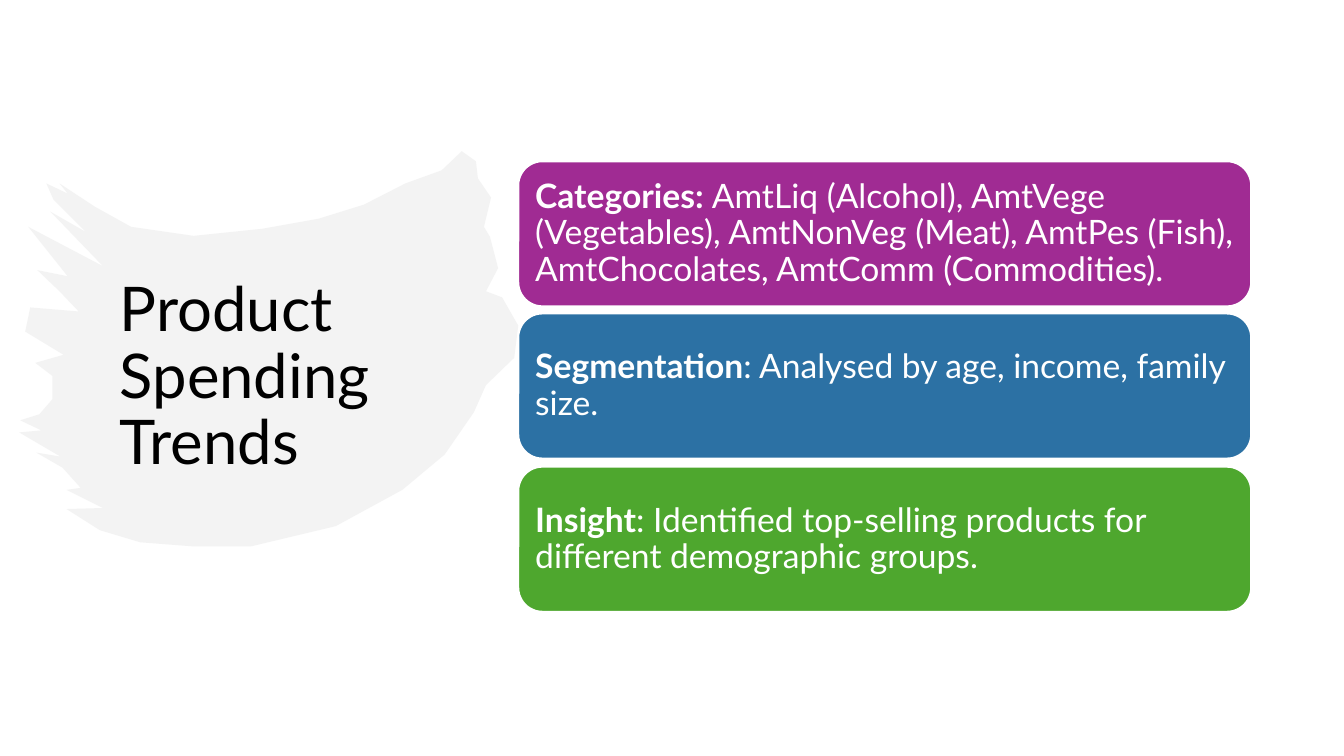
import dataclasses
import typing

import lxml.etree
import pptx
import pptx.dml.color
import pptx.enum.shapes
import pptx.enum.text
import pptx.oxml.ns
import pptx.shapes.autoshape
import pptx.shapes.shapetree
import pptx.text.text
import pptx.util

SCALE = 9144


@dataclasses.dataclass(frozen=True)
class Theme:
    font: str = "Lato"
    ink: str = "000000"
    paper: str = "FFFFFF"
    brush: str = "E8E8E8"
    purple: str = "A02B93"
    blue: str = "2C71A4"
    green: str = "4EA72E"
    title: int = 44
    body: int = 24
    edge: float = 1.5


@dataclasses.dataclass(frozen=True)
class Card:
    head: str
    text: str
    fill: str


THEME = Theme()
CARDS = [
    Card("Categories: ",
         "AmtLiq (Alcohol), AmtVege (Vegetables), AmtNonVeg (Meat), "
         "AmtPes (Fish), AmtChocolates, AmtComm (Commodities).", THEME.purple),
    Card("Segmentation", ": Analysed by age, income, family size.", THEME.blue),
    Card("Insight",
         ": Identified top-selling products for different demographic groups.",
         THEME.green),
]
BRUSH = [
    (458, 150), (472, 160), (474, 177), (487, 196), (480, 225), (486, 235),
    (494, 266), (482, 289), (498, 295), (514, 323), (510, 355), (482, 382),
    (470, 409), (441, 451), (399, 486), (333, 522), (249, 542), (191, 542),
    (139, 538), (99, 526), (66, 505), (102, 504), (66, 486), (80, 484),
    (62, 464), (36, 449), (60, 453), (19, 429), (41, 427), (20, 417),
    (39, 411), (52, 396), (52, 373), (35, 360), (63, 352), (25, 329),
    (30, 305), (78, 309), (59, 289), (37, 268), (67, 274), (28, 225),
    (102, 264), (50, 210), (85, 230), (53, 198), (46, 182), (67, 192),
    (59, 182), (94, 205), (130, 225), (192, 234), (260, 227), (316, 217),
    (361, 203), (402, 182), (438, 169),
]


def px(size: int) -> pptx.util.Emu:
    return pptx.util.Emu(size * SCALE)


def rgb(code: str) -> pptx.dml.color.RGBColor:
    return pptx.dml.color.RGBColor.from_string(code)


def put(thing: typing.Any, style: dict[str, typing.Any]) -> None:
    for name, value in style.items():
        setattr(thing, name, value)


def paint(shape: pptx.shapes.autoshape.Shape, code: str) -> None:
    shape.shadow.inherit = False
    shape.fill.solid()
    shape.fill.fore_color.rgb = rgb(code)


def write(frame: pptx.text.text.TextFrame, parts: list[tuple[str, bool]],
          size: int, code: str, pad: int) -> None:
    put(frame, {
        "word_wrap": True,
        "vertical_anchor": pptx.enum.text.MSO_ANCHOR.MIDDLE,
        "margin_left": px(10), "margin_right": px(10),
        "margin_top": px(pad), "margin_bottom": px(pad),
    })
    para = frame.paragraphs[0]
    put(para, {"line_spacing": 0.9, "alignment": pptx.enum.text.PP_ALIGN.LEFT})
    for text, bold in parts:
        run = para.add_run()
        run.text = text
        put(run.font, {"name": THEME.font, "size": pptx.util.Pt(size), "bold": bold})
        run.font.color.rgb = rgb(code)


def stroke(shapes: pptx.shapes.shapetree.SlideShapes) -> None:
    pen = shapes.build_freeform(*BRUSH[0], scale=float(SCALE))
    pen.add_line_segments(BRUSH[1:], close=True)
    shape = pen.convert_to_shape()
    paint(shape, THEME.brush)
    shape.line.fill.background()
    qn = pptx.oxml.ns.qn
    tone = next(shape.element.iter(qn("a:srgbClr")))
    lxml.etree.SubElement(tone, qn("a:alpha"), val="50000")


def place(shapes: pptx.shapes.shapetree.SlideShapes, card: Card, top: int) -> None:
    kind = pptx.enum.shapes.MSO_SHAPE.ROUNDED_RECTANGLE
    shape = shapes.add_shape(kind, px(514), px(top), px(727), px(144))
    paint(shape, card.fill)
    shape.line.color.rgb = rgb(THEME.paper)
    shape.line.width = pptx.util.Pt(THEME.edge)
    parts = [(card.head, True), (card.text, False)]
    write(shape.text_frame, parts, THEME.body, THEME.paper, 10)


def main() -> None:
    deck = pptx.Presentation()
    put(deck, {"slide_width": px(1333), "slide_height": px(750)})
    shapes = deck.slides.add_slide(deck.slide_layouts[6]).shapes
    stroke(shapes)
    title = shapes.add_textbox(px(109), px(75), px(382), px(601))
    write(title.text_frame, [("Product Spending Trends", False)],
          THEME.title, THEME.ink, 5)
    for row, card in enumerate(CARDS):
        place(shapes, card, 160 + row * 303 // 2)
    deck.save("out.pptx")


if __name__ == "__main__":
    main()
